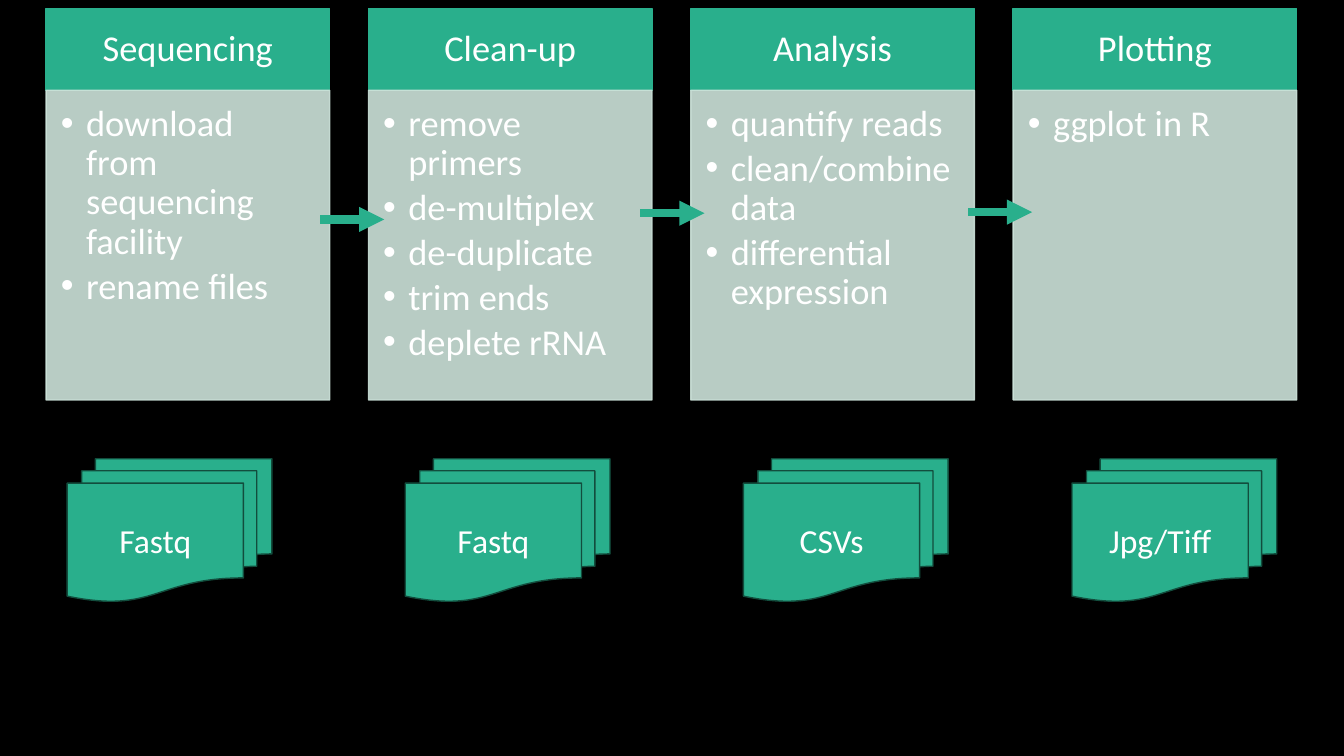
from lxml.etree import SubElement
from pptx import Presentation
from pptx.dml.color import RGBColor
from pptx.enum.shapes import MSO_CONNECTOR as Connector, MSO_SHAPE as Shape
from pptx.enum.text import MSO_ANCHOR as Anchor, PP_ALIGN as Align
from pptx.oxml.ns import qn
from pptx.util import Pt

PX = 9525  # EMU in one px, 96 px to the inch
BLACK = RGBColor(0x00, 0x00, 0x00)
WHITE = RGBColor(0xFF, 0xFF, 0xFF)
GREEN = RGBColor(0x29, 0xAF, 0x8C)
DARK_GREEN = RGBColor(0x12, 0x4D, 0x3D)
PALE_GREEN = RGBColor(0xCD, 0xE3, 0xDA)

# Stage title, steps, file type and left edge of its file stack
STAGES = [
    ("Sequencing", ["download from sequencing facility", "rename files"], "Fastq", 64),
    ("Clean-up", ["remove primers", "de-multiplex", "de-duplicate", "trim ends",
                  "deplete rRNA"], "Fastq", 386),
    ("Analysis", ["quantify reads", "clean/combine data", "differential expression"],
     "CSVs", 708),
    ("Plotting", ["ggplot in R"], "Jpg/Tiff", 1021),
]
STAGE_LEFT, STAGE_TOP, STAGE_WIDTH, STAGE_HEIGHT, STAGE_PITCH = 44, 8, 270, 373, 307
HEADER_HEIGHT = 78
FILES_TOP, FILES_WIDTH, FILES_HEIGHT = 437, 195, 136
ARROWS = [(305, 209), (610, 203), (922, 202)]
ARROW_LENGTH = 61
BULLET_INDENT = 24


def add_filled(page, kind, box, fill, outline):
    shape = page.shapes.add_shape(kind, *(length * PX for length in box))
    shape.shadow.inherit = False
    shape.fill.solid()
    shape.fill.fore_color.rgb = fill
    shape.line.color.rgb = outline
    shape.line.width = Pt(1)
    return shape


def write(shape, lines, size, margins, anchor=Anchor.MIDDLE, align=Align.CENTER,
          **para_format):
    frame = shape.text_frame
    sides = ("margin_left", "margin_top", "margin_right", "margin_bottom")
    settings = {side: margin * PX for side, margin in zip(sides, margins)}
    settings.update(word_wrap=True, vertical_anchor=anchor)
    for name, value in settings.items():
        setattr(frame, name, value)
    for index, line in enumerate(lines):
        para = frame.add_paragraph() if index else frame.paragraphs[0]
        for name, value in dict(para_format, alignment=align).items():
            setattr(para, name, value)
        span = para.add_run()
        span.text = line
        for name, value in {"name": "Calibri", "size": Pt(size)}.items():
            setattr(span.font, name, value)
        span.font.color.rgb = WHITE
    return frame


def add_bullet(para):
    props = para._p.get_or_add_pPr()
    props.set("marL", str(BULLET_INDENT * PX))
    props.set("indent", str(-BULLET_INDENT * PX))
    SubElement(props, qn("a:buFont"), typeface="Arial")
    SubElement(props, qn("a:buChar"), char="•")


def add_stage(page, box, title, steps):
    left, top, width, height = box
    header = add_filled(page, Shape.RECTANGLE, (left, top, width, HEADER_HEIGHT),
                        GREEN, GREEN)
    write(header, [title], 26, (19, 12, 19, 12), line_spacing=0.9)

    # Slightly see-through list of steps
    body = add_filled(page, Shape.RECTANGLE,
                      (left, top + HEADER_HEIGHT, width, height - HEADER_HEIGHT),
                      PALE_GREEN, PALE_GREEN)
    for color in body._element.spPr.iter(qn("a:srgbClr")):
        SubElement(color, qn("a:alpha"), val="90000")
    frame = write(body, steps, 26, (14, 14, 19, 22), Anchor.TOP, Align.LEFT,
                  line_spacing=0.9, space_after=Pt(4))
    for para in frame.paragraphs:
        add_bullet(para)


def add_files(page, box, file_type):
    stack = add_filled(page, Shape.FLOWCHART_MULTIDOCUMENT, box, GREEN, DARK_GREEN)
    write(stack, [file_type], 24, (10, 5, 10, 5))


def add_arrow(page, left, top, length):
    arrow = page.shapes.add_connector(Connector.STRAIGHT, left * PX, top * PX,
                                      (left + length) * PX, top * PX)
    arrow.line.color.rgb = GREEN
    arrow.line.width = Pt(6)
    SubElement(arrow.line._get_or_add_ln(), qn("a:tailEnd"), type="triangle")
    SubElement(arrow._element.spPr, qn("a:effectLst"))


def add_workflow(page):
    # Stages side by side
    for index, (title, steps, _, _) in enumerate(STAGES):
        left = STAGE_LEFT + index * STAGE_PITCH
        add_stage(page, (left, STAGE_TOP, STAGE_WIDTH, STAGE_HEIGHT), title, steps)
    # Files that each stage yields
    for _, _, file_type, left in STAGES:
        add_files(page, (left, FILES_TOP, FILES_WIDTH, FILES_HEIGHT), file_type)
    # Arrows from stage to stage
    for left, top in ARROWS:
        add_arrow(page, left, top, ARROW_LENGTH)


def main():
    deck = Presentation()
    deck.slide_width, deck.slide_height = 1280 * PX, 720 * PX
    page = deck.slides.add_slide(deck.slide_layouts[6])
    page.background.fill.solid()
    page.background.fill.fore_color.rgb = BLACK
    add_workflow(page)
    deck.save("out.pptx")


if __name__ == "__main__":
    main()
